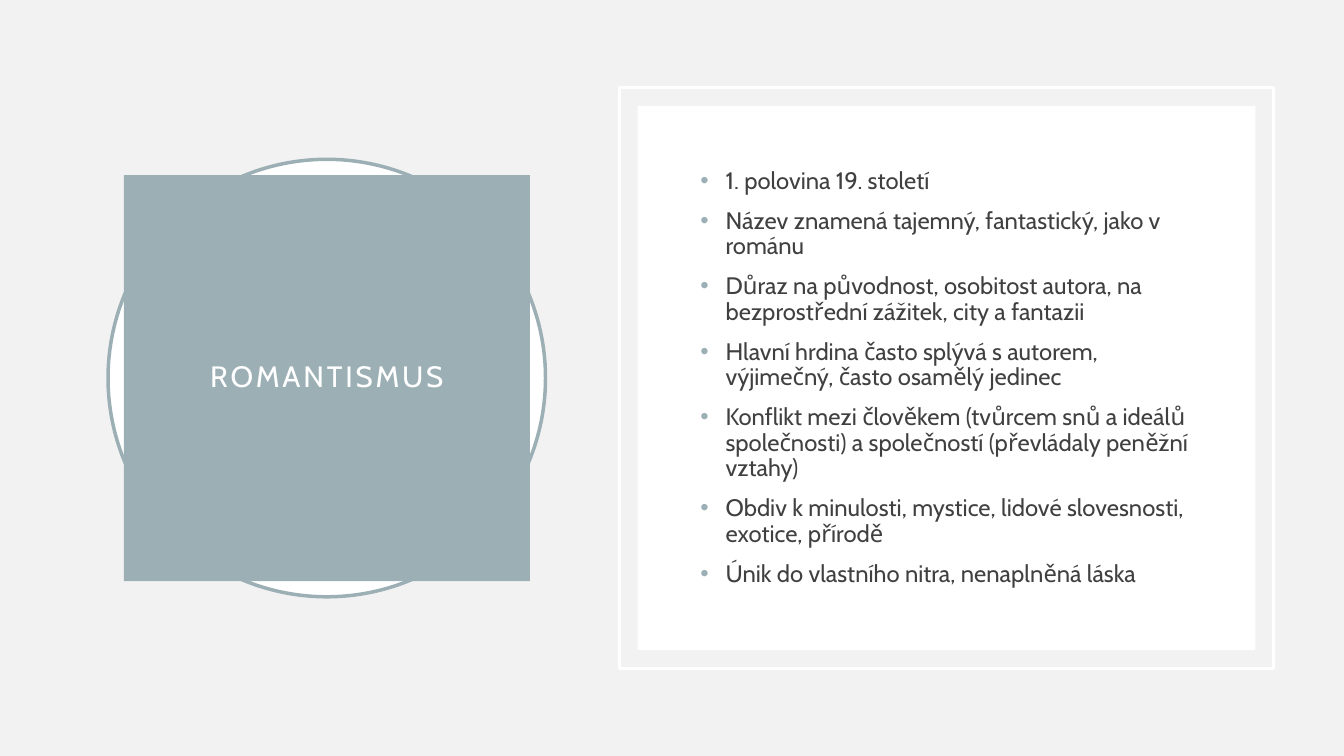
from lxml.etree import SubElement
from pptx import Presentation
from pptx.dml.color import RGBColor
from pptx.enum.shapes import MSO_SHAPE as Preset
from pptx.enum.text import MSO_ANCHOR as Anchor, MSO_AUTO_SIZE as AutoSize, PP_ALIGN as Align
from pptx.oxml.ns import qn
from pptx.util import Pt

FONT = "Cabin"
ACCENT = "9BAFB5"
WHITE = "FFFFFF"
BACKGROUND = "F2F2F2"
BODY = "404040"
OUTLINE = 2.5

TITLE = "ROMANTISMUS"
FEATURES = [
    "1. polovina 19. století",
    "Název znamená tajemný, fantastický, jako v románu",
    "Důraz na původnost, osobitost autora, na bezprostřední zážitek, city a fantazii",
    "Hlavní hrdina často splývá s autorem, výjimečný, často osamělý jedinec",
    "Konflikt mezi člověkem (tvůrcem snů a ideálů společnosti) a společností "
    "(převládaly peněžní vztahy)",
    "Obdiv k minulosti, mystice, lidové slovesnosti, exotice, přírodě",
    "Únik do vlastního nitra, nenaplněná láska",
]


def color(hex_value):
    return RGBColor.from_string(hex_value)


def inset(box, margin):
    left, top, width, height = box
    return left + margin, top + margin, width - 2 * margin, height - 2 * margin


def points(box):
    return [Pt(length) for length in box]


def paint(shape, fill=None, line=None):
    if fill:
        shape.fill.solid()
        shape.fill.fore_color.rgb = color(fill)
    else:
        shape.fill.background()
    if line:
        shape.line.color.rgb = color(line)
        shape.line.width = Pt(OUTLINE)
    else:
        shape.line.fill.background()


def add_panel(slide, preset, box, fill=None, line=None):
    panel = slide.shapes.add_shape(preset, *points(box))
    panel.shadow.inherit = False
    paint(panel, fill, line)
    return panel


def prepare_frame(frame):
    frame.word_wrap = True
    frame.auto_size = AutoSize.NONE
    frame.vertical_anchor = Anchor.MIDDLE


def style(paragraph, size, text_color):
    paragraph.line_spacing = 0.9
    paragraph.font.name = FONT
    paragraph.font.size = Pt(size)
    paragraph.font.color.rgb = color(text_color)


def add_bullet(paragraph):
    properties = paragraph._p.get_or_add_pPr()
    properties.set("marL", str(Pt(18)))
    properties.set("indent", str(Pt(-18)))
    tint = SubElement(properties, qn("a:buClr"))
    SubElement(tint, qn("a:srgbClr"), val=ACCENT)
    SubElement(properties, qn("a:buFont"), typeface="Arial")
    SubElement(properties, qn("a:buChar"), char="•")


def build_title(slide, box):
    title = slide.shapes.title
    circle = add_panel(slide, Preset.OVAL, box, WHITE, ACCENT)
    title._element.addprevious(circle._element)
    title.left, title.top, title.width, title.height = points(inset(box, 11.2))
    paint(title, ACCENT)
    frame = title.text_frame
    frame.text = TITLE
    prepare_frame(frame)
    frame.margin_left = frame.margin_right = Pt(14.4)
    frame.margin_top = frame.margin_bottom = Pt(14.4)
    heading = frame.paragraphs[0]
    heading.alignment = Align.CENTER
    style(heading, 21, WHITE)
    heading.runs[0].font._element.set("spc", "200")


def build_features(slide, box):
    add_panel(slide, Preset.RECTANGLE, box, line=WHITE)
    add_panel(slide, Preset.RECTANGLE, inset(box, 13), WHITE)
    frame = slide.shapes.add_textbox(*points(inset(box, 50.8))).text_frame
    prepare_frame(frame)
    frame.text = "\n".join(FEATURES)
    for feature in frame.paragraphs:
        feature.space_before = Pt(10)
        style(feature, 17, BODY)
        add_bullet(feature)


def main():
    deck = Presentation()
    deck.slide_width, deck.slide_height = Pt(960), Pt(540)
    slide = deck.slides.add_slide(deck.slide_layouts[5])
    slide.background.fill.solid()
    slide.background.fill.fore_color.rgb = color(BACKGROUND)
    build_title(slide, (77.2, 113.8, 312.5, 312.5))
    build_features(slide, (442.4, 62.6, 467.3, 414.8))
    deck.save("out.pptx")


if __name__ == "__main__":
    main()
